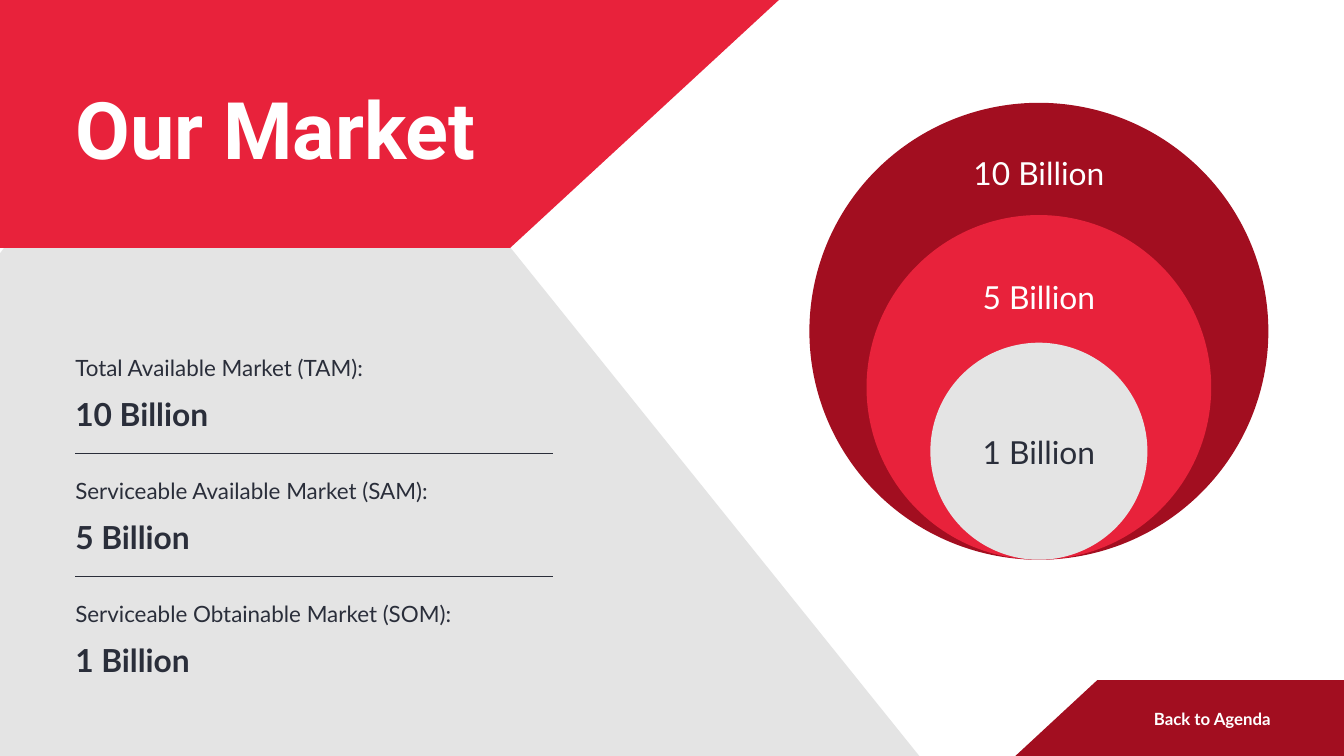
from lxml.etree import SubElement
from pptx import Presentation
from pptx.dml.color import RGBColor
from pptx.enum.shapes import MSO_CONNECTOR, MSO_SHAPE
from pptx.enum.text import MSO_ANCHOR, MSO_AUTO_SIZE, PP_ALIGN
from pptx.oxml.ns import qn
from pptx.util import Inches, Pt

WIDTH, HEIGHT = 20, 11.25
RED, DARK_RED, GREY, INK, WHITE = "E8223B", "A20E20", "E4E4E4", "2A2E3A", "FFFFFF"
BAND_BOTTOM = 3.69
LEFT = 1.12
ROW_TOP, ROW_STEP = 5.2, 1.83
CIRCLE_CENTER, CIRCLE_BOTTOM = 15.46, 8.33

TITLE = {"size": 85, "name": "Roboto", "color": WHITE, "bold": True, "leading": 102}
LABEL = {"size": 24, "leading": 33.6}
AMOUNT = {"size": 34, "bold": True, "leading": 40.8}
CIRCLE_TEXT = {"size": 34, "align": PP_ALIGN.CENTER, "leading": 47.6}
BUTTON = {"size": 18, "color": WHITE, "bold": True, "align": PP_ALIGN.RIGHT, "leading": 23.4}

PANELS = [
    (GREY, [(0.06, BAND_BOTTOM), (7.6, BAND_BOTTOM), (13.68, HEIGHT), (0, HEIGHT), (0, 3.77)]),
    (RED, [(0, 0), (11.59, 0), (7.59, BAND_BOTTOM), (0, BAND_BOTTOM)]),
    (DARK_RED, [(16.33, 10.12), (WIDTH, 10.12), (WIDTH, HEIGHT), (15.11, HEIGHT)]),
]
MARKETS = [
    ("Total Available Market (TAM):", "10 Billion"),
    ("Serviceable Available Market (SAM):", "5 Billion"),
    ("Serviceable Obtainable Market (SOM):", "1 Billion"),
]
CIRCLES = [
    (6.83, 6.8, DARK_RED, 2.2, WHITE),
    (5.13, 5.13, RED, 4.04, WHITE),
    (3.23, 3.23, GREY, 6.35, INK),
]


def rgb(value):
    return RGBColor.from_string(value)


def paint(shape, color):
    shape.shadow.inherit = False
    shape.fill.solid()
    shape.fill.fore_color.rgb = rgb(color)
    shape.line.fill.background()


def write(box, text, style):
    frame = box.text_frame
    settings = {
        "word_wrap": True, "auto_size": MSO_AUTO_SIZE.NONE, "vertical_anchor": MSO_ANCHOR.TOP,
        "margin_left": 0, "margin_top": 0, "margin_right": 0, "margin_bottom": 0,
    }
    for key, value in settings.items():
        setattr(frame, key, value)
    para = frame.paragraphs[0]
    para.alignment = style.get("align", PP_ALIGN.LEFT)
    para.line_spacing = Pt(style["leading"])
    span = para.add_run()
    span.text = text
    font = {"name": style.get("name", "Lato"), "size": Pt(style["size"]), "bold": style.get("bold", False)}
    for key, value in font.items():
        setattr(span.font, key, value)
    span.font.color.rgb = rgb(style.get("color", INK))


def add_text(page, place, text, style):
    write(page.shapes.add_textbox(*map(Inches, place)), text, style)


def add_panel(page, color, points):
    corners = [(Inches(x), Inches(y)) for x, y in points]
    builder = page.shapes.build_freeform(*corners[0])
    builder.add_line_segments(corners[1:], close=True)
    paint(builder.convert_to_shape(), color)


def add_title(page, text):
    title = page.shapes.title
    title.left, title.top, title.width, title.height = map(Inches, (LEFT, 1.19, 6.84, 1.41))
    write(title, text, TITLE)
    page.shapes._spTree.append(title._element)


def add_circle(page, width, height, color):
    place = (CIRCLE_CENTER - width / 2, CIRCLE_BOTTOM - height, width, height)
    paint(page.shapes.add_shape(MSO_SHAPE.OVAL, *map(Inches, place)), color)


def add_divider(page, top):
    ends = map(Inches, (LEFT, top, 8.23, top))
    line = page.shapes.add_connector(MSO_CONNECTOR.STRAIGHT, *ends)
    line.line.color.rgb = rgb(INK)
    line.line.width = Pt(1)
    SubElement(line._element.spPr, qn("a:effectLst"))


def add_market_list(page):
    for row, (label, amount) in enumerate(MARKETS):
        top = ROW_TOP + row * ROW_STEP
        add_text(page, (LEFT, top, 7.31, 0.43), label, LABEL)
        add_text(page, (LEFT, top + 0.67, 7.31, 0.58), amount, AMOUNT)
        if row < len(MARKETS) - 1:
            add_divider(page, top + 1.55)


def add_market_circles(page):
    for (width, height, color, text_top, text_color), (_, amount) in zip(CIRCLES, MARKETS):
        add_circle(page, width, height, color)
        place = (CIRCLE_CENTER - 1.295, text_top, 2.59, 0.62)
        add_text(page, place, amount, {**CIRCLE_TEXT, "color": text_color})


def main():
    deck = Presentation()
    deck.slide_width, deck.slide_height = Inches(WIDTH), Inches(HEIGHT)
    page = deck.slides.add_slide(deck.slide_layouts[5])
    for color, points in PANELS:
        add_panel(page, color, points)
    add_title(page, "Our Market")
    add_market_circles(page)
    add_market_list(page)
    add_text(page, (16.7, 10.52, 2.21, 0.32), "Back to Agenda", BUTTON)
    deck.save("out.pptx")


if __name__ == "__main__":
    main()
